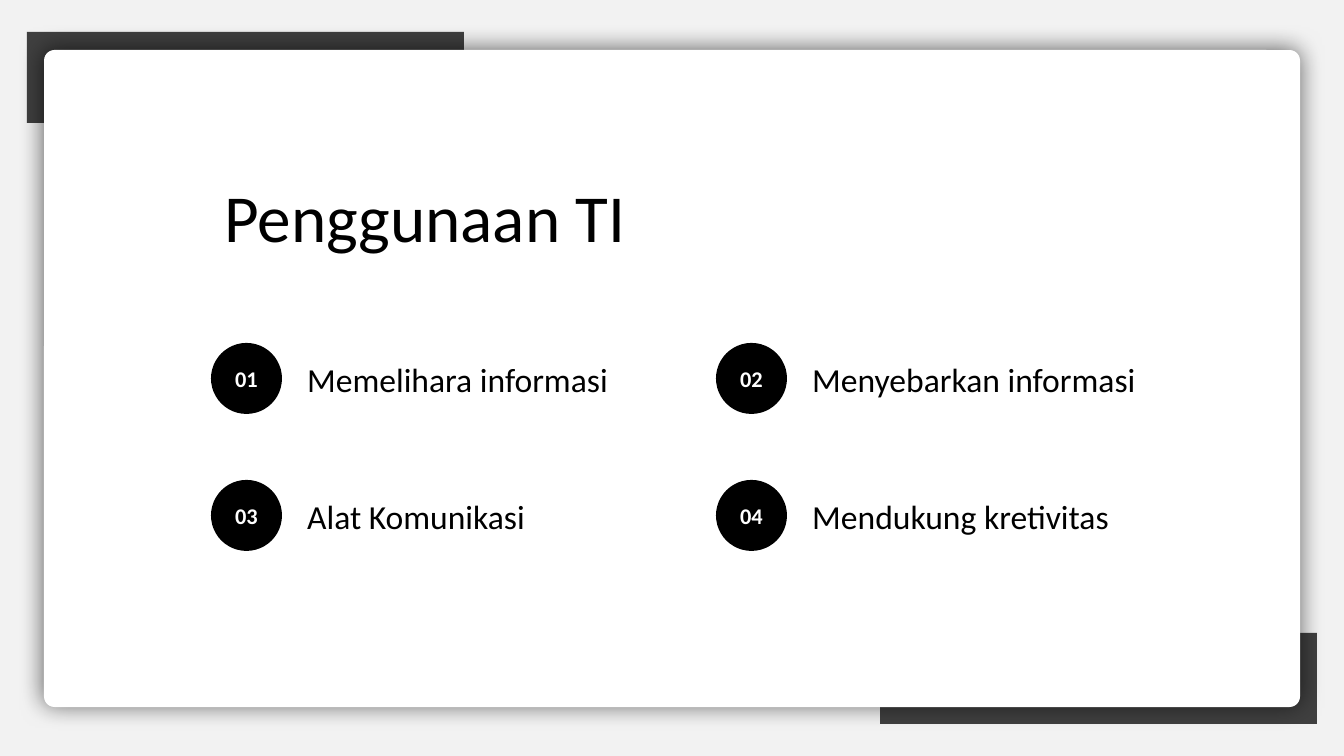
from lxml import etree
from pptx import Presentation
from pptx import util as u
from pptx.dml.color import RGBColor
from pptx.enum import shapes, text
from pptx.oxml import ns

PX = 914400 / 134.4
WIDTH, HEIGHT = 1344, 756
FONT = "Calibri"
BLACK, WHITE, DARK, PALE = "000000", "FFFFFF", "404040", "F2F2F2"

TITLE = "Penggunaan TI"
USES = [
    "Memelihara informasi",
    "Menyebarkan informasi",
    "Alat Komunikasi",
    "Mendukung kretivitas",
]
CORNERS = [(880, 633), (27, 32)]
CORNER_SIZE = (437, 91)
CARD = (44, 50, 1256, 657)
LEFT, TOP = 211, 343
COLUMN_STEP, ROW_STEP = 505, 137
BADGE = 71
LABEL_OFFSET = (83, 9)
LABEL_WIDTHS = (409, 500)
LABEL_HEIGHT = 54


def px(*values):
    return [u.Emu(round(value * PX)) for value in values]


def paint(fill, color):
    fill.solid()
    fill.fore_color.rgb = RGBColor.from_string(color)


def write(shape, words, size, color=BLACK, bold=False,
          align=text.PP_ALIGN.LEFT, anchor=text.MSO_ANCHOR.TOP):
    frame = shape.text_frame
    frame.word_wrap = True
    frame.vertical_anchor = anchor
    frame.text = words
    paragraph = frame.paragraphs[0]
    paragraph.alignment = align
    font = paragraph.runs[0].font
    font.name, font.size, font.bold = FONT, u.Pt(size), bold
    font.color.rgb = RGBColor.from_string(color)
    return frame


def add_block(slide, kind, box, color):
    shape = slide.shapes.add_shape(kind, *px(*box))
    shape.shadow.inherit = False
    paint(shape.fill, color)
    shape.line.fill.background()
    return shape


def add_glow_shadow(shape, blur, alpha):
    effects = shape._element.spPr.find(ns.qn("a:effectLst"))
    shadow = etree.SubElement(effects, ns.qn("a:outerShdw"), blurRad=str(px(blur)[0]),
                              dist="0", algn="ctr", rotWithShape="0")
    color = etree.SubElement(shadow, ns.qn("a:srgbClr"), val=BLACK)
    etree.SubElement(color, ns.qn("a:alpha"), val=str(alpha * 1000))


def main():
    presentation = Presentation()
    presentation.slide_width, presentation.slide_height = px(WIDTH, HEIGHT)
    slide = presentation.slides.add_slide(presentation.slide_layouts[5])
    paint(slide.background.fill, PALE)

    for corner in CORNERS:
        add_block(slide, shapes.MSO_SHAPE.RECTANGLE, corner + CORNER_SIZE, DARK)
    card = add_block(slide, shapes.MSO_SHAPE.ROUNDED_RECTANGLE, CARD, WHITE)
    card.adjustments[0] = 0.016
    add_glow_shadow(card, blur=24, alpha=60)

    title = slide.shapes.title
    title.left, title.top, title.width, title.height = px(LEFT, 169, 461, 95)
    frame = write(title, TITLE, 36, align=text.PP_ALIGN.JUSTIFY)
    frame.auto_size = text.MSO_AUTO_SIZE.SHAPE_TO_FIT_TEXT
    slide.shapes._spTree.append(title._element)

    for index, use in enumerate(USES):
        row, column = divmod(index, 2)
        x, y = LEFT + column * COLUMN_STEP, TOP + row * ROW_STEP
        badge = add_block(slide, shapes.MSO_SHAPE.OVAL, (x, y, BADGE, BADGE), BLACK)
        frame = write(badge, f"{index + 1:02}", 12, color=WHITE, bold=True,
                      align=text.PP_ALIGN.CENTER, anchor=text.MSO_ANCHOR.MIDDLE)
        frame.margin_left = frame.margin_right = 0
        label = slide.shapes.add_textbox(*px(
            x + LABEL_OFFSET[0], y + LABEL_OFFSET[1], LABEL_WIDTHS[column], LABEL_HEIGHT))
        align = text.PP_ALIGN.LEFT if row else text.PP_ALIGN.JUSTIFY
        frame = write(label, use, 18, align=align)
        frame.auto_size = text.MSO_AUTO_SIZE.SHAPE_TO_FIT_TEXT

    presentation.save("out.pptx")


if __name__ == "__main__":
    main()
